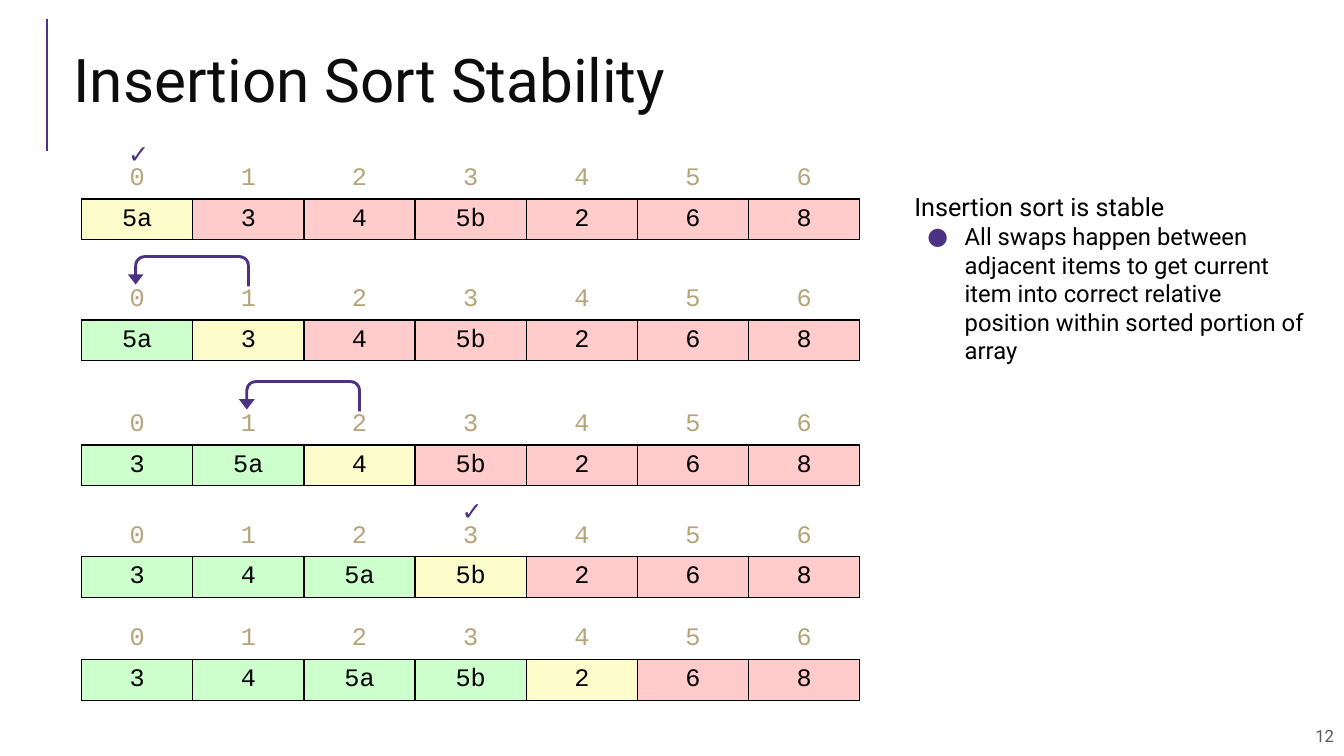
from dataclasses import dataclass

from lxml import etree
from pptx import Presentation
from pptx import util as u
from pptx.dml.color import RGBColor
from pptx.enum import shapes, text
from pptx.oxml.ns import qn


@dataclass(frozen=True)
class Theme:
    """Fonts, colours and type sizes of the slide."""
    sans: str = "Roboto"
    mono: str = "Courier New"
    accent: str = "4C3282"
    title: str = "0C0C0C"
    ink: str = "000000"
    index: str = "B6A479"
    number: str = "595959"
    paper: str = "FFFFFF"
    sorted: str = "CCFFCC"
    current: str = "FBFCCA"
    unsorted: str = "FFCCCB"
    title_size: float = 43
    text_size: float = 18
    bullet_size: float = 17
    number_size: float = 12


@dataclass(frozen=True)
class Box:
    """A place on the slide, in grid columns and rows."""
    left: float
    top: float
    width: float
    height: float

    def place(self):
        """Return the four lengths for a new shape."""
        return [grid(n) for n in (self.left, self.top, self.width, self.height)]

    def inner(self, left, top, width, height):
        """Return a box whose corner is given from this box's corner."""
        return Box(self.left + left, self.top + top, width, height)


THEME = Theme()
WIDTH, HEIGHT = u.Inches(13.33), u.Inches(7.5)
GRID_COLUMNS = 160
STEPS = [
    (18.84, "5a 3 4 5b 2 6 8", "check"),
    (33.24, "5a 3 4 5b 2 6 8", "swap"),
    (48.12, "3 5a 4 5b 2 6 8", "swap"),
    (61.44, "3 4 5a 5b 2 6 8", "check"),
    (73.68, "3 4 5a 5b 2 6 8", None),
]


def grid(count):
    """Turn a number of grid units into a slide length."""
    return u.Emu(int(count * WIDTH / GRID_COLUMNS))


def write(paragraph, words, size, color, font=THEME.sans, bold=False):
    """Add one formatted run to a paragraph."""
    run = paragraph.add_run()
    run.text = words
    run.font.name = font
    run.font.size = u.Pt(size)
    run.font.bold = bold
    run.font.color.rgb = RGBColor.from_string(color)


def move(shape, box):
    """Put a placeholder into a box."""
    shape.left, shape.top, shape.width, shape.height = box.place()
    shape.text_frame.auto_size = text.MSO_AUTO_SIZE.NONE


def add_heading(slide, box):
    """Fill the title and draw the rule on its left."""
    title = slide.shapes.title
    move(title, box)
    title.text_frame.vertical_anchor = text.MSO_ANCHOR.MIDDLE
    paragraph = title.text_frame.paragraphs[0]
    paragraph.alignment = text.PP_ALIGN.LEFT
    paragraph.line_spacing = 0.8
    write(paragraph, "Insertion Sort Stability", THEME.title_size, THEME.title)
    left, top, _, height = box.inner(-1.92, -1.2, 0, 15.72).place()
    rule = slide.shapes.add_connector(
        shapes.MSO_CONNECTOR.STRAIGHT, left, top + height, left, top)
    rule.line.width = u.Pt(1.5)
    rule.line.color.rgb = RGBColor.from_string(THEME.accent)
    etree.SubElement(rule.element.spPr, qn("a:effectLst"))


def set_bullet(paragraph, symbol, left, hanging):
    """Indent a paragraph and give it a coloured bullet, or none."""
    properties = paragraph._p.get_or_add_pPr()
    properties.set("marL", str(u.Inches(left)))
    properties.set("indent", str(-u.Inches(hanging)))
    if symbol is None:
        etree.SubElement(properties, qn("a:buNone"))
        return
    color = etree.SubElement(properties, qn("a:buClr"))
    etree.SubElement(color, qn("a:srgbClr"), val=THEME.accent)
    etree.SubElement(properties, qn("a:buFont"), typeface=THEME.sans)
    etree.SubElement(properties, qn("a:buChar"), char=symbol)


def add_notes_list(slide, box):
    """Fill the body with the stability claim and its reason."""
    body = slide.placeholders[1]
    move(body, box)
    claim = body.text_frame.paragraphs[0]
    reason = body.text_frame.add_paragraph()
    set_bullet(claim, None, 0, 0)
    set_bullet(reason, "●", 0.5, 0.37)
    claim.space_before = reason.space_before = u.Pt(0)
    write(claim, "Insertion sort is stable", THEME.text_size, THEME.ink)
    write(reason, "All swaps happen between adjacent items to get current item "
          "into correct relative position within sorted portion of array",
          THEME.bullet_size, THEME.ink)


def set_borders(cell, sides, bottom):
    """Draw the four 1 pt edges of a table cell."""
    properties = cell._tc.get_or_add_tcPr()
    edges = {"lnL": sides, "lnR": sides, "lnT": sides, "lnB": bottom}
    for position, (edge, color) in enumerate(edges.items()):
        line = etree.Element(qn("a:" + edge), w=str(u.Pt(1)))
        fill = etree.SubElement(line, qn("a:solidFill"))
        etree.SubElement(fill, qn("a:srgbClr"), val=color)
        properties.insert(position, line)


def fill_cell(cell, words, color, fill, sides):
    """Write, fill and outline one table cell."""
    cell.fill.solid()
    cell.fill.fore_color.rgb = RGBColor.from_string(fill)
    cell.vertical_anchor = text.MSO_ANCHOR.MIDDLE
    paragraph = cell.text_frame.paragraphs[0]
    paragraph.alignment = text.PP_ALIGN.CENTER
    write(paragraph, words, THEME.text_size, color, THEME.mono)
    set_borders(cell, sides, THEME.ink)


def add_array(slide, box, items, current):
    """Draw an array with its indices, shaded by sorting progress."""
    table = slide.shapes.add_table(2, len(items), *box.place()).table
    table.first_row = table.horz_banding = False
    for column, item in enumerate(items):
        table.columns[column].width = grid(box.width / len(items))
        shade = (THEME.sorted if column < current else
                 THEME.current if column == current else THEME.unsorted)
        fill_cell(table.cell(0, column), str(column), THEME.index, THEME.paper, THEME.paper)
        fill_cell(table.cell(1, column), item, THEME.ink, shade, THEME.ink)


def add_check(slide, box):
    """Mark an item that stays in place."""
    frame = slide.shapes.add_textbox(*box.place()).text_frame
    frame.word_wrap = False
    write(frame.paragraphs[0], "✓", THEME.text_size, THEME.accent, bold=True)


def add_swap(slide, box):
    """Draw the arrow from an item back to its left neighbour."""
    arrow = slide.shapes.add_shape(shapes.MSO_SHAPE.U_TURN_ARROW, *box.place())
    arrow.shadow.inherit = False
    arrow.element.spPr.xfrm.set("flipH", "1")
    for position, share in enumerate((0.09, 0.25, 0.33, 0.33, 0.94)):
        arrow.adjustments[position] = share
    arrow.fill.solid()
    arrow.fill.fore_color.rgb = RGBColor.from_string(THEME.accent)
    arrow.line.fill.background()


def add_step(slide, box, items, current, move_kind):
    """Draw one sorting step with its mark above the array."""
    add_array(slide, box, items, current)
    cell_width = box.width / len(items)
    if move_kind == "check":
        add_check(slide, box.inner(current * cell_width + 4.35, -3, 4.68, 4.8))
    elif move_kind == "swap":
        add_swap(slide, box.inner((current - 1) * cell_width + 5.5, -2.85, 14.52, 3.72))


def add_slide_number(slide, box):
    """Write the slide number in the bottom right corner."""
    frame = slide.shapes.add_textbox(*box.place()).text_frame
    frame.word_wrap = True
    frame.vertical_anchor = text.MSO_ANCHOR.MIDDLE
    frame.paragraphs[0].alignment = text.PP_ALIGN.RIGHT
    write(frame.paragraphs[0], "12", THEME.number_size, THEME.number)


def main():
    """Build and save the slide."""
    presentation = Presentation()
    presentation.slide_width, presentation.slide_height = WIDTH, HEIGHT
    slide = presentation.slides.add_slide(presentation.slide_layouts[1])
    add_heading(slide, Box(7.56, 3.48, 146.76, 13.32))
    for current, (top, items, move_kind) in enumerate(STEPS):
        add_step(slide, Box(9.72, top, 92.64, 9.72), items.split(), current, move_kind)
    add_notes_list(slide, Box(107.64, 22.2, 49.8, 18.6))
    add_slide_number(slide, Box(103.8, 85.2, 56.2, 4.8))
    presentation.save("out.pptx")


if __name__ == "__main__":
    main()
